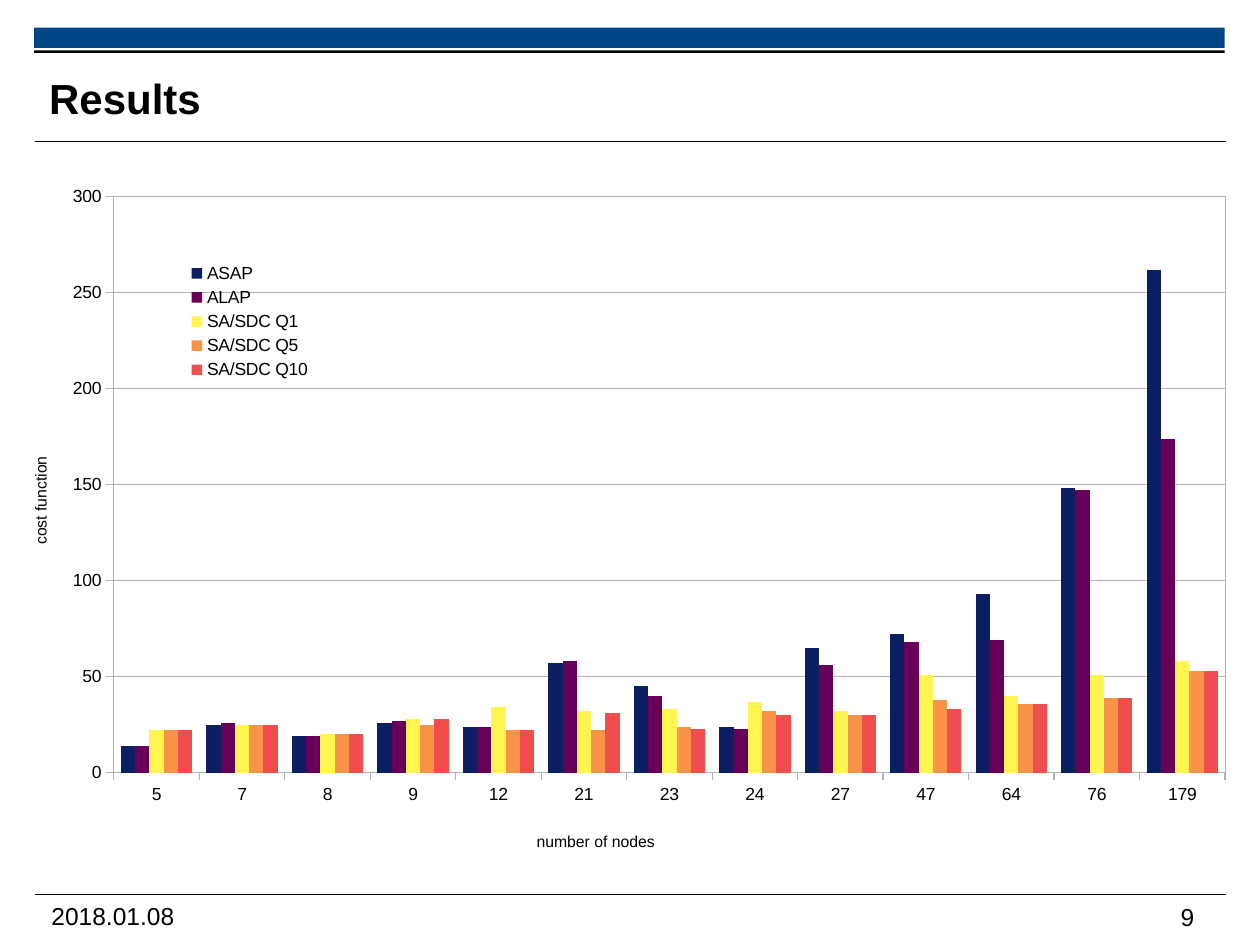
import pptx
import pptx.chart.data
import pptx.dml.color
import pptx.enum.chart
import pptx.enum.shapes
import pptx.enum.text
import pptx.oxml
import pptx.oxml.ns
import pptx.util

Inches, Pt = pptx.util.Inches, pptx.util.Pt
qn = pptx.oxml.ns.qn
NAMESPACES = pptx.oxml.ns.nsdecls("c", "a")


def color(value):
    return pptx.dml.color.RGBColor.from_string(value)


def place(element, index, **fractions):
    """Give a chart part a fixed place, in fractions of the chart."""
    for old in element.findall(qn("c:layout")):
        element.remove(old)
    modes = '<c:xMode val="edge"/><c:yMode val="edge"/>'
    sizes = "".join(f'<c:{key} val="{value}"/>' for key, value in fractions.items())
    target = '<c:layoutTarget val="inner"/>' if index == 0 else ""
    element.insert(index, pptx.oxml.parse_xml(
        f"<c:layout {NAMESPACES}><c:manualLayout>{target}{modes}{sizes}"
        "</c:manualLayout></c:layout>"))


deck = pptx.Presentation()
deck.slide_width, deck.slide_height = Inches(10), Inches(7.5)
slide = deck.slides.add_slide(deck.slide_layouts[5])

# Header bands
for top, height, fill in [(0.22, 0.16, "004586"), (0.4, 0.02, "000000")]:
    band = slide.shapes.add_shape(pptx.enum.shapes.MSO_SHAPE.RECTANGLE, Inches(0.27),
                                  Inches(top), Inches(9.45), Inches(height))
    band.shadow.inherit = False
    band.fill.solid()
    band.fill.fore_color.rgb = color(fill)
    band.line.fill.background()

# Rules under the title and above the footer
for y in (1.12, 7.1):
    rule = slide.shapes.add_connector(pptx.enum.shapes.MSO_CONNECTOR.STRAIGHT,
                                      Inches(0.28), Inches(y), Inches(9.73), Inches(y))
    rule.line.color.rgb = color("000000")
    rule.line.width = Pt(0.6)
    rule._element.spPr.append(pptx.oxml.parse_xml(f"<a:effectLst {NAMESPACES}/>"))

# Title, date and page number
title = slide.shapes.title
title.left, title.top, title.width, title.height = map(Inches, (0.39, 0.53, 7.52, 0.49))
date = slide.shapes.add_textbox(Inches(0.31), Inches(7.1), Inches(1.36), Inches(0.34))
page = slide.shapes.add_textbox(Inches(9.37), Inches(7.16), Inches(0.5), Inches(0.23))
for box, text, size, bold in [(title, "Results", 24, True),
                              (date, "2018.01.08", 14, False), (page, "9", 14, False)]:
    frame = box.text_frame
    frame.text = text
    frame.word_wrap = box is not date
    if box is not date:
        frame.margin_left = frame.margin_right = frame.margin_top = frame.margin_bottom = 0
    frame.paragraphs[0].alignment = pptx.enum.text.PP_ALIGN.LEFT
    font = frame.paragraphs[0].runs[0].font
    font.name, font.size, font.bold = "Arial", Pt(size), bold
    font.color.rgb = color("000000")
title.text_frame.vertical_anchor = pptx.enum.text.MSO_ANCHOR.MIDDLE

# Cost by number of nodes
costs = {
    "ASAP": ("0D1F63", [14, 25, 19, 26, 24, 57, 45, 24, 65, 72, 93, 148, 262]),
    "ALAP": ("680059", [14, 26, 19, 27, 24, 58, 40, 23, 56, 68, 69, 147, 174]),
    "SA/SDC Q1": ("FFF450", [22, 25, 20, 28, 34, 32, 33, 37, 32, 51, 40, 51, 58]),
    "SA/SDC Q5": ("F79448", [22, 25, 20, 25, 22, 22, 24, 32, 30, 38, 36, 39, 53]),
    "SA/SDC Q10": ("F04E4D", [22, 25, 20, 28, 22, 31, 23, 30, 30, 33, 36, 39, 53]),
}
results = pptx.chart.data.CategoryChartData()
results.categories = ["5", "7", "8", "9", "12", "21", "23", "24", "27", "47", "64", "76", "179"]
for name, (fill, values) in costs.items():
    results.add_series(name, values)
chart = slide.shapes.add_chart(pptx.enum.chart.XL_CHART_TYPE.COLUMN_CLUSTERED, Inches(0.12),
                               Inches(1.34), Inches(9.8), Inches(5.51), results).chart
chart.has_title = False
chart.font.name, chart.font.size = "Arial", Pt(10)
chart.font.color.rgb = color("000000")

# Columns
columns = chart.plots[0]
columns.gap_width, columns.overlap, columns.vary_by_categories = 100, 0, False
for series, (fill, values) in zip(columns.series, costs.values()):
    series.format.fill.solid()
    series.format.fill.fore_color.rgb = color(fill)

# Axes
node_axis, cost_axis = chart.category_axis, chart.value_axis
cost_axis.minimum_scale, cost_axis.maximum_scale, cost_axis.major_unit = 0, 300, 50
cost_axis.has_major_gridlines = True
for axis, text, x, y in [(node_axis, "number of nodes", 0.42, 0.95),
                         (cost_axis, "cost function", 0.01, 0.41)]:
    axis.major_tick_mark = pptx.enum.chart.XL_TICK_MARK.OUTSIDE
    axis.minor_tick_mark = pptx.enum.chart.XL_TICK_MARK.NONE
    caption = axis.axis_title.text_frame
    caption.text = text
    font = caption.paragraphs[0].runs[0].font
    font.name, font.size, font.bold = "Arial", Pt(9), False
    font.color.rgb = color("000000")
    place(axis.axis_title._element, 1, x=x, y=y)
for part in (node_axis, cost_axis, cost_axis.major_gridlines):
    part.format.line.color.rgb = color("B3B3B3")
    part.format.line.width = Pt(0)
cost_axis.axis_title.text_frame._txBody.bodyPr.set("rot", "-5400000")
cost_axis.axis_title.text_frame._txBody.bodyPr.set("vert", "horz")

# Legend inside the framed plot area
chart.has_legend = True
chart.legend.position = pptx.enum.chart.XL_LEGEND_POSITION.RIGHT
chart.legend.include_in_layout = False
place(chart.legend._element, 1, x=0.13, y=0.13, w=0.12, h=0.18)
plot_area = chart._chartSpace.chart.plotArea
place(plot_area, 0, x=0.08, y=0.04, w=0.9, h=0.83)
plot_area.append(pptx.oxml.parse_xml(
    f'<c:spPr {NAMESPACES}><a:noFill/><a:ln w="0"><a:solidFill>'
    '<a:srgbClr val="B3B3B3"/></a:solidFill></a:ln></c:spPr>'))

deck.save("out.pptx")
